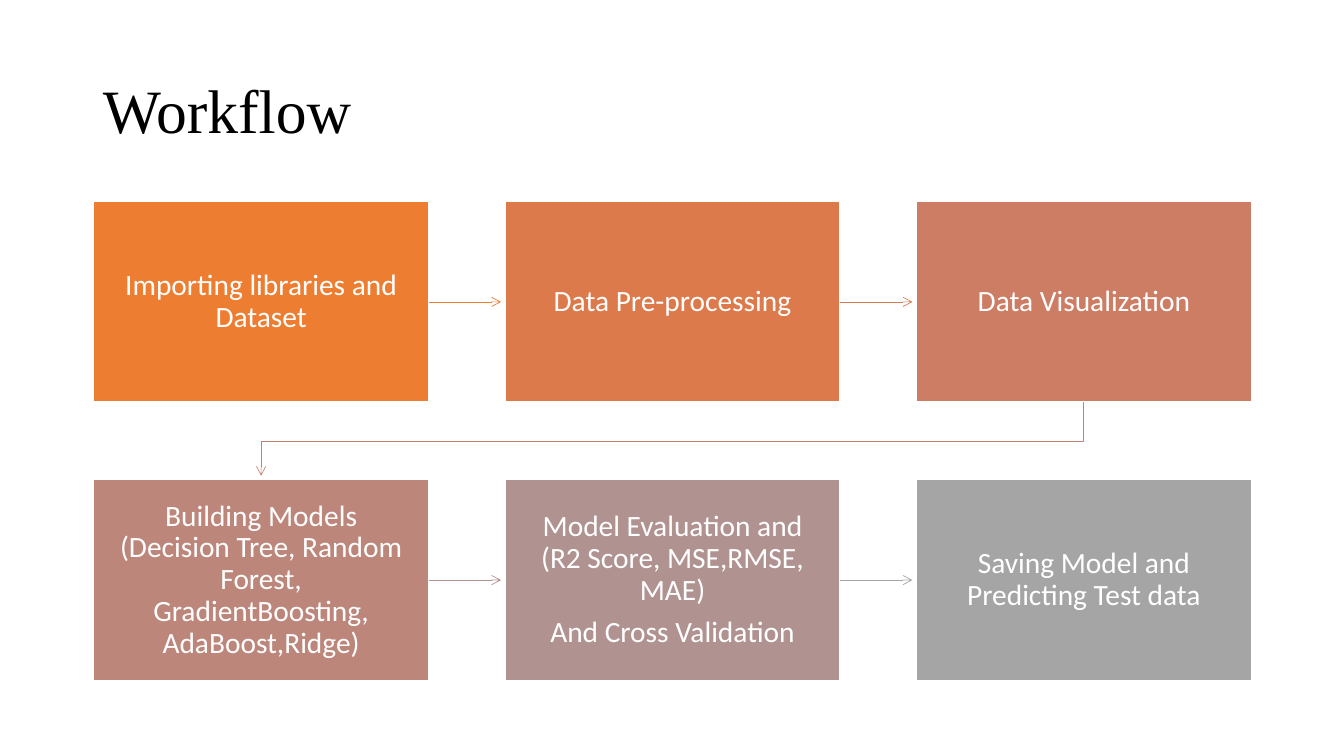
from lxml import etree
from pptx import Presentation
from pptx.dml.color import RGBColor
from pptx.enum.shapes import MSO_CONNECTOR, MSO_SHAPE
from pptx.enum.text import MSO_ANCHOR, PP_ALIGN
from pptx.oxml.ns import qn
from pptx.util import Inches, Pt

STRAIGHT = MSO_CONNECTOR.STRAIGHT
RECTANGLE = MSO_SHAPE.RECTANGLE
MIDDLE = MSO_ANCHOR.MIDDLE
LEFT, CENTER = PP_ALIGN.LEFT, PP_ALIGN.CENTER

BLACK = RGBColor(0x00, 0x00, 0x00)
WHITE = RGBColor(0xFF, 0xFF, 0xFF)
ORANGE = RGBColor(0xED, 0x7D, 0x31)
GRAY = RGBColor(0xA5, 0xA5, 0xA5)
TURN_COLOR = RGBColor(0xC4, 0x81, 0x70)

BOX_W, BOX_H = 3.32, 1.99
LEFT_X, TOP_Y = 0.93, 2.0
STEP_X, STEP_Y = 4.08, 2.76
ARROW_GAP = 0.04
COLUMNS = 3

# Text, box fill and colour of the arrow to the next box in the same row
STEPS = [
    ("Importing libraries and Dataset", ORANGE, ORANGE),
    ("Data Pre-processing", RGBColor(0xDC, 0x7A, 0x4B), RGBColor(0xD8, 0x7A, 0x51)),
    ("Data Visualization", RGBColor(0xCC, 0x7D, 0x64), None),
    ("Building Models (Decision Tree, Random Forest, GradientBoosting, AdaBoost,Ridge)",
     RGBColor(0xBD, 0x86, 0x7B), RGBColor(0xB4, 0x90, 0x8B)),
    ("Model Evaluation and (R2 Score, MSE,RMSE, MAE)\nAnd Cross Validation",
     RGBColor(0xB0, 0x93, 0x91), GRAY),
    ("Saving Model and Predicting Test data", GRAY, None),
]


def write_text(tf, text, *, font, size, color, align, space_after=0):
    """Fill a text frame, one paragraph per line of text."""
    tf.word_wrap = True
    tf.vertical_anchor = MIDDLE
    for i, line in enumerate(text.split("\n")):
        p = tf.paragraphs[0] if i == 0 else tf.add_paragraph()
        p.alignment = align
        p.line_spacing = 0.9
        p.space_after = Pt(space_after)
        r = p.add_run()
        r.text = line
        r.font.name = font
        r.font.size = Pt(size)
        r.font.color.rgb = color


def style_arrow(shape, color):
    """Draw a thin line with an open arrowhead and no shadow."""
    shape.line.color.rgb = color
    shape.line.width = Pt(0.5)
    sp_pr = shape._element.spPr
    etree.SubElement(sp_pr.find(qn("a:ln")), qn("a:tailEnd"), type="arrow")
    if sp_pr.find(qn("a:effectLst")) is None:
        etree.SubElement(sp_pr, qn("a:effectLst"))


prs = Presentation()
prs.slide_width, prs.slide_height = Inches(13.33), Inches(7.5)
s = prs.slides.add_slide(prs.slide_layouts[5])

title = s.shapes.title
title.left, title.top = Inches(0.92), Inches(0.4)
title.width, title.height = Inches(11.5), Inches(1.45)
write_text(title.text_frame, "Workflow", font="Times New Roman", size=44,
           color=BLACK, align=LEFT)

for i, (text, fill, arrow_color) in enumerate(STEPS):
    row, col = divmod(i, COLUMNS)
    x, y = LEFT_X + col * STEP_X, TOP_Y + row * STEP_Y
    box = s.shapes.add_shape(RECTANGLE, Inches(x), Inches(y), Inches(BOX_W), Inches(BOX_H))
    box.shadow.inherit = False
    box.fill.solid()
    box.fill.fore_color.rgb = fill
    box.line.color.rgb = WHITE
    box.line.width = Pt(1)
    tf = box.text_frame
    tf.margin_left = tf.margin_right = tf.margin_top = tf.margin_bottom = Inches(0.16)
    write_text(tf, text, font="Calibri", size=21, color=WHITE, align=CENTER,
               space_after=7.35)
    if arrow_color is not None:
        mid_y = Inches(y + BOX_H / 2)
        arrow = s.shapes.add_connector(STRAIGHT, Inches(x + BOX_W), mid_y,
                                       Inches(x + STEP_X - ARROW_GAP), mid_y)
        style_arrow(arrow, arrow_color)

# Arrow from the last box of the first row to the first box of the second row
first_x = Inches(LEFT_X + BOX_W / 2)
last_x = Inches(LEFT_X + (COLUMNS - 1) * STEP_X + BOX_W / 2)
start_y = Inches(TOP_Y + BOX_H)
turn_y = Inches(TOP_Y + (BOX_H + STEP_Y) / 2)
end_y = Inches(TOP_Y + STEP_Y - ARROW_GAP)
builder = s.shapes.build_freeform(last_x, start_y)
builder.add_line_segments([(last_x, turn_y), (first_x, turn_y), (first_x, end_y)],
                          close=False)
turn = builder.convert_to_shape()
turn.fill.background()
style_arrow(turn, TURN_COLOR)

prs.save("out.pptx")
